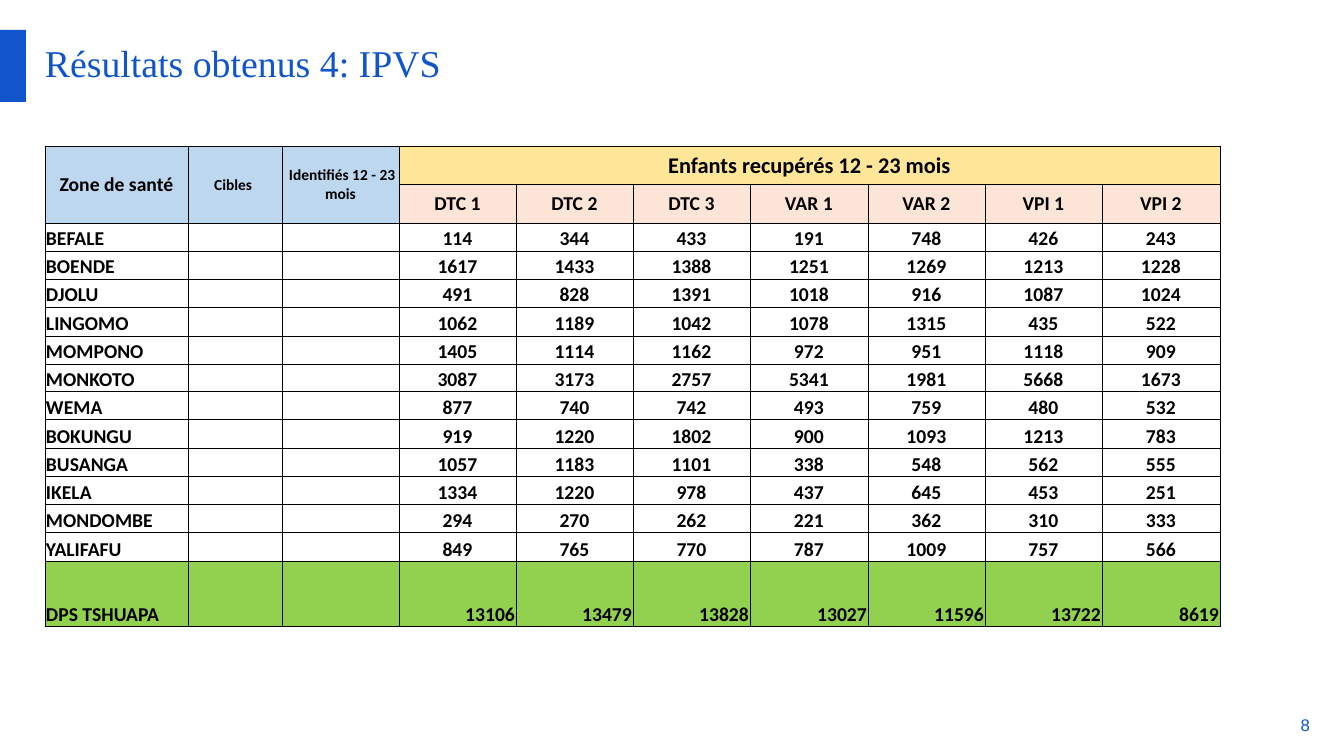
from itertools import pairwise

from lxml.etree import SubElement
from pptx import Presentation
from pptx.dml.color import RGBColor
from pptx.enum.shapes import MSO_SHAPE
from pptx.enum.text import MSO_ANCHOR, PP_ALIGN
from pptx.oxml import parse_xml
from pptx.oxml.ns import nsdecls, qn
from pptx.util import Pt

EMU_PER_PX = 914400 / 100.8
BLUE, BLACK = "1155CC", "000000"
SKY, YELLOW, PEACH, GREEN = "BDD7EE", "FFE699", "FCE4D6", "92D050"

VACCINES = ["DTC 1", "DTC 2", "DTC 3", "VAR 1", "VAR 2", "VPI 1", "VPI 2"]
ZONES = [
    ("BEFALE", 114, 344, 433, 191, 748, 426, 243),
    ("BOENDE", 1617, 1433, 1388, 1251, 1269, 1213, 1228),
    ("DJOLU", 491, 828, 1391, 1018, 916, 1087, 1024),
    ("LINGOMO", 1062, 1189, 1042, 1078, 1315, 435, 522),
    ("MOMPONO", 1405, 1114, 1162, 972, 951, 1118, 909),
    ("MONKOTO", 3087, 3173, 2757, 5341, 1981, 5668, 1673),
    ("WEMA", 877, 740, 742, 493, 759, 480, 532),
    ("BOKUNGU", 919, 1220, 1802, 900, 1093, 1213, 783),
    ("BUSANGA", 1057, 1183, 1101, 338, 548, 562, 555),
    ("IKELA", 1334, 1220, 978, 437, 645, 453, 251),
    ("MONDOMBE", 294, 270, 262, 221, 362, 310, 333),
    ("YALIFAFU", 849, 765, 770, 787, 1009, 757, 566),
]
TOTAL = ("DPS TSHUAPA", 13106, 13479, 13828, 13027, 11596, 13722, 8619)


def px(length):
    return round(length * EMU_PER_PX)


def rgb(hex_colour):
    return RGBColor.from_string(hex_colour)


def even_edges(start, end, parts):
    """Whole-pixel boundaries that cut start..end into equal parts."""
    return [start + (end - start) * i // parts for i in range(parts + 1)]


class Deck:
    def __init__(self, width, height):
        self.prs = Presentation()
        self.prs.slide_width, self.prs.slide_height = px(width), px(height)
        self.slide = self.prs.slides.add_slide(self.prs.slide_layouts[6])

    def style(self, paragraph, size, font, colour, align, bold=False):
        paragraph.alignment = align
        paragraph.font.size = Pt(size)
        paragraph.font.name = font
        paragraph.font.bold = bold
        paragraph.font.color.rgb = rgb(colour)

    def text(self, box, words, size, font, align=PP_ALIGN.LEFT, anchor=MSO_ANCHOR.TOP):
        frame = self.slide.shapes.add_textbox(*map(px, box)).text_frame
        frame.margin_left = frame.margin_right = 0
        frame.margin_top = frame.margin_bottom = 0
        frame.word_wrap = True
        frame.vertical_anchor = anchor
        frame.text = words
        self.style(frame.paragraphs[0], size, font, BLUE, align)

    def bar(self, box, colour):
        bar = self.slide.shapes.add_shape(MSO_SHAPE.RECTANGLE, *map(px, box))
        bar.shadow.inherit = False
        bar.fill.solid()
        bar.fill.fore_color.rgb = rgb(colour)
        bar.line.fill.background()

    def table(self, column_edges, row_edges):
        """Add a bordered table of empty cells with the given boundaries."""
        left, top = column_edges[0], row_edges[0]
        table = self.slide.shapes.add_table(
            len(row_edges) - 1, len(column_edges) - 1, px(left), px(top),
            px(column_edges[-1] - left), px(row_edges[-1] - top)).table
        table.first_row = table.horz_banding = False
        for column, (start, end) in zip(table.columns, pairwise(column_edges)):
            column.width = px(end - start)
        for row, (start, end) in zip(table.rows, pairwise(row_edges)):
            row.height = px(end - start)
        for cell in table.iter_cells():
            self.cell(cell)
            self.borders(cell)
        return table

    def cell(self, cell, words="", fill=None, size=14,
             align=PP_ALIGN.CENTER, anchor=MSO_ANCHOR.BOTTOM):
        cell.margin_left = cell.margin_right = cell.margin_top = px(1)
        cell.margin_bottom = 0
        cell.vertical_anchor = anchor
        if fill:
            cell.fill.solid()
            cell.fill.fore_color.rgb = rgb(fill)
        else:
            cell.fill.background()
        cell.text = words
        paragraph = cell.text_frame.paragraphs[0]
        self.style(paragraph, size, "Calibri", BLACK, align, bold=True)
        if not words and paragraph._p.find(qn("a:endParaRPr")) is None:
            SubElement(paragraph._p, qn("a:endParaRPr"), sz=str(size * 100))

    def borders(self, cell):
        properties = cell._tc.get_or_add_tcPr()
        for i, side in enumerate("LRTB"):
            properties.insert(i, parse_xml(
                f'<a:ln{side} {nsdecls("a")} w="{Pt(0.5)}"><a:solidFill>'
                f'<a:srgbClr val="{BLACK}"/></a:solidFill></a:ln{side}>'))


def fill_results(deck):
    columns = [45, 188, 282] + even_edges(399, 1220, len(VACCINES))
    rows = [146, 184] + even_edges(223, 562, len(ZONES)) + [627]
    results = deck.table(columns, rows)

    results.cell(0, 3).merge(results.cell(0, 9))
    deck.cell(results.cell(0, 3), "Enfants recupérés 12 - 23 mois", YELLOW, 16,
              anchor=MSO_ANCHOR.MIDDLE)
    headings = [("Zone de santé", 14), ("Cibles ", 11), (" Identifiés 12 - 23 mois", 11)]
    for col, (heading, size) in enumerate(headings):
        results.cell(0, col).merge(results.cell(1, col))
        deck.cell(results.cell(0, col), heading, SKY, size, anchor=MSO_ANCHOR.MIDDLE)
    for col, vaccine in enumerate(VACCINES, 3):
        deck.cell(results.cell(1, col), vaccine, PEACH, anchor=MSO_ANCHOR.MIDDLE)

    for row, (zone, *counts) in enumerate(ZONES + [TOTAL], 2):
        is_total = zone == TOTAL[0]
        fill = GREEN if is_total else None
        count_align = PP_ALIGN.RIGHT if is_total else PP_ALIGN.CENTER
        deck.cell(results.cell(row, 0), zone, fill, align=PP_ALIGN.LEFT)
        for col, count in enumerate(["", "", *counts], 1):
            deck.cell(results.cell(row, col), str(count), fill, align=count_align)


def main():
    deck = Deck(1344, 756)
    deck.text((45, 40, 1243, 52), "Résultats obtenus 4: IPVS", 27, "Times New Roman")
    deck.bar((0, 30, 26, 72), BLUE)
    deck.text((1285, 716, 25, 18), "8", 12, "Arial", PP_ALIGN.RIGHT, MSO_ANCHOR.MIDDLE)
    fill_results(deck)
    deck.prs.save("out.pptx")


if __name__ == "__main__":
    main()
